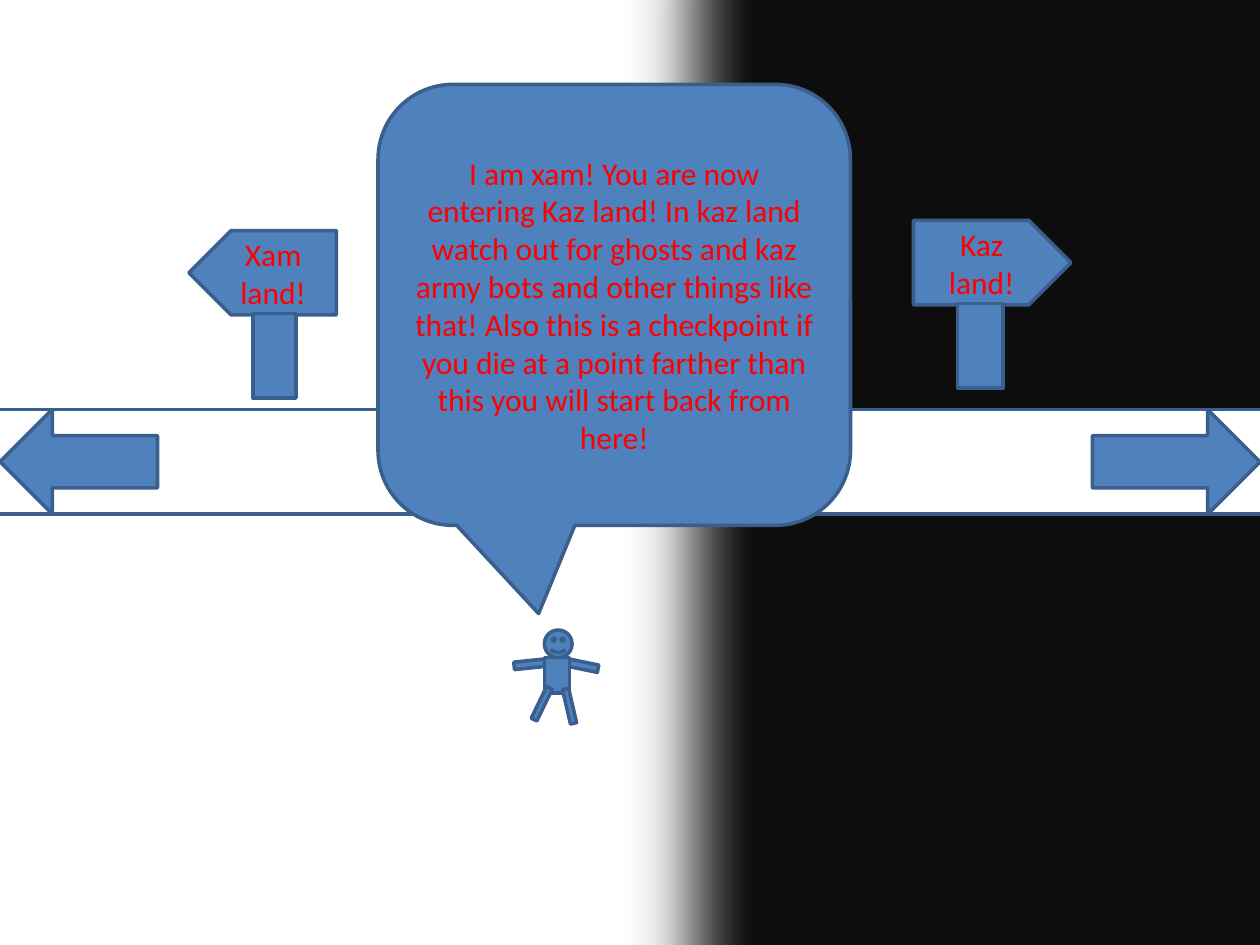
from lxml.etree import SubElement
from pptx import Presentation
from pptx.dml.color import RGBColor
from pptx.enum.shapes import MSO_SHAPE
from pptx.enum.text import MSO_ANCHOR, PP_ALIGN
from pptx.oxml.ns import qn
from pptx.util import Inches, Pt

WIDTH, HEIGHT = 10, 7.5
BLUE, OUTLINE, RED, WHITE, DARK = "4F81BD", "3A5F8C", "FF0000", "FFFFFF", "0D0D0D"
ROAD_TOP, ROAD_HEIGHT = 3.25, 0.83
SIGN_HEIGHT = 0.67
TEXT_FORMAT = {"name": "Calibri", "size": Pt(18)}
SPEECH = (
    "I am xam! You are now entering Kaz land! In kaz land watch out for ghosts "
    "and kaz army bots and other things like that! Also this is a checkpoint if "
    "you die at a point farther than this you will start back from here!"
)


def color(value):
    return RGBColor.from_string(value)


def add_box(shapes, kind, place, fill=BLUE, rotation=0, flipped=False):
    box = shapes.add_shape(kind, *(Inches(length) for length in place))
    box.shadow.inherit = False
    box.fill.solid()
    box.fill.fore_color.rgb = color(fill)
    box.line.color.rgb = color(OUTLINE)
    box.line.width = Pt(2)
    box.rotation = rotation
    if flipped:
        box.element.spPr.get_or_add_xfrm().set("flipH", "1")
    return box


def write_text(box, text):
    frame = box.text_frame
    frame.word_wrap = True
    frame.vertical_anchor = MSO_ANCHOR.MIDDLE
    para = frame.paragraphs[0]
    para.alignment = PP_ALIGN.CENTER
    span = para.add_run()
    span.text = text
    for attribute, value in TEXT_FORMAT.items():
        setattr(span.font, attribute, value)
    span.font.color.rgb = color(RED)


def add_darkness(shapes):
    darkness = add_box(shapes, MSO_SHAPE.RECTANGLE, (4.67, -1.58, 8.83, 10.75), DARK)
    effects = darkness.element.spPr.find(qn("a:effectLst"))
    SubElement(effects, qn("a:softEdge"), rad=str(Pt(50)))


def add_sign(shapes, text, left, top, width, post_left, post_width, flipped=False):
    sign = shapes.add_group_shape().shapes
    board = add_box(sign, MSO_SHAPE.PENTAGON, (left, top, width, SIGN_HEIGHT), flipped=flipped)
    write_text(board, text)
    post_top = top + SIGN_HEIGHT - 0.01
    add_box(sign, MSO_SHAPE.RECTANGLE, (post_left, post_top, post_width, SIGN_HEIGHT))


def add_road_arrow(shapes, left, width, rotation=0):
    place = (left, ROAD_TOP, width, ROAD_HEIGHT)
    add_box(shapes, MSO_SHAPE.LEFT_ARROW, place, rotation=rotation)


def add_figure(shapes):
    figure = shapes.add_group_shape().shapes
    add_box(figure, MSO_SHAPE.SMILEY_FACE, (4.32, 5, 0.22, 0.22))
    right_arm, left_arm = ((4.47, 5.25, 0.28, 0.06), 11.6), ((4.08, 5.24, 0.3, 0.06), 354)
    torso = ((4.32, 5.22, 0.2, 0.28), 0)
    left_leg, right_leg = ((4.16, 5.56, 0.28, 0.05), 295.9), ((4.38, 5.58, 0.28, 0.05), 77)
    for place, rotation in (right_arm, left_arm, torso, left_leg, right_leg):
        add_box(figure, MSO_SHAPE.RECTANGLE, place, rotation=rotation)


def add_speech(shapes):
    callout = add_box(shapes, MSO_SHAPE.ROUNDED_RECTANGULAR_CALLOUT, (3, 0.67, 3.75, 3.5))
    for index, value in enumerate((-0.16, 0.7, 0.17)):
        callout.adjustments[index] = value
    write_text(callout, SPEECH)


def main():
    deck = Presentation()
    deck.slide_width, deck.slide_height = Inches(WIDTH), Inches(HEIGHT)
    page = deck.slides.add_slide(deck.slide_layouts[6])
    page.background.fill.solid()
    page.background.fill.fore_color.rgb = color(WHITE)
    shapes = page.shapes
    add_darkness(shapes)
    add_sign(shapes, "Xam land!", 1.5, 1.83, 1.17, 2.01, 0.34, flipped=True)
    add_box(shapes, MSO_SHAPE.RECTANGLE, (-0.67, ROAD_TOP, 11.17, ROAD_HEIGHT), WHITE)
    add_sign(shapes, "Kaz land!", 7.25, 1.75, 1.25, 7.6, 0.36)
    add_road_arrow(shapes, 0, 1.25)
    add_figure(shapes)
    add_speech(shapes)
    add_road_arrow(shapes, WIDTH - 1.33, 1.33, rotation=180)
    deck.save("out.pptx")


if __name__ == "__main__":
    main()
